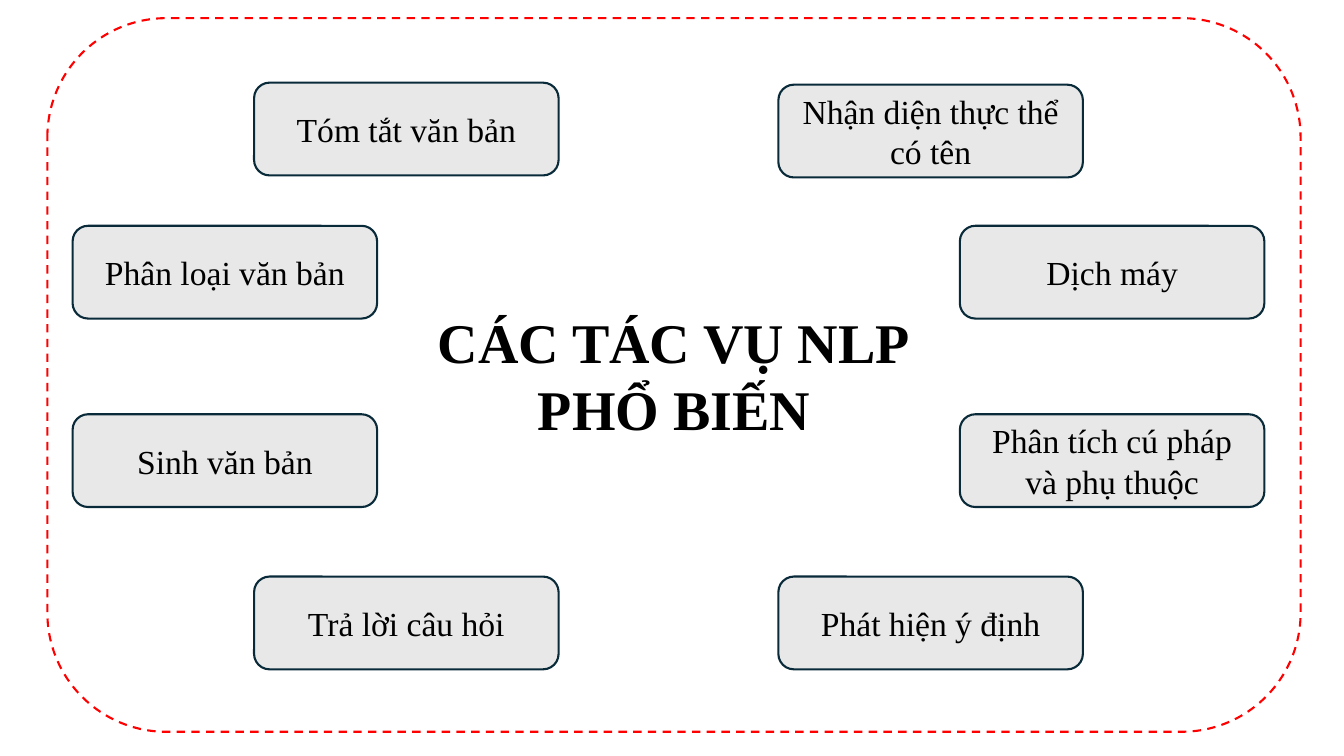
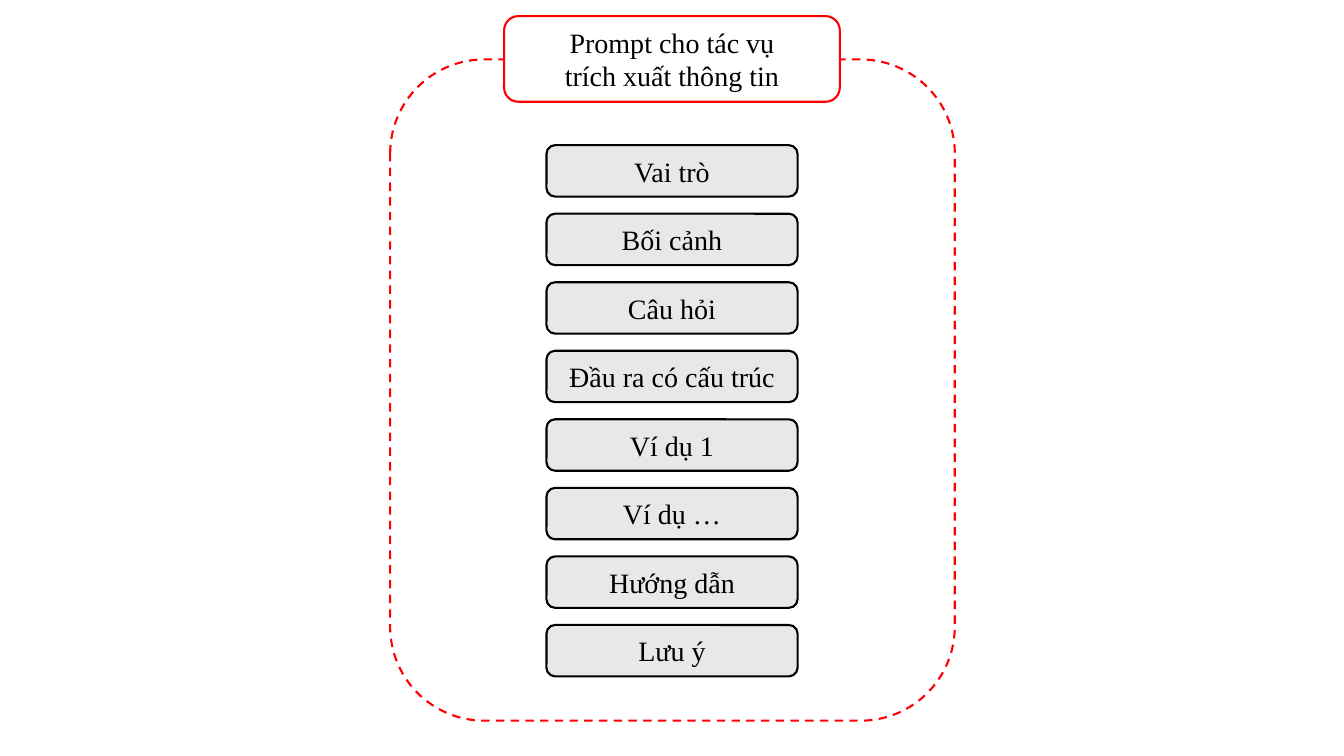
"""Build two slides on common NLP tasks and the parts of an extraction prompt."""
from pptx import Presentation
from pptx import util as u
from pptx.dml.color import RGBColor
from pptx.enum import dml, shapes, text

PX = 9144
FONT = "Times New Roman"
BLACK, WHITE, GREY, NAVY, RED = "000000", "FFFFFF", "E8E8E8", "092A39", "FF0000"

HEAD = "CÁC TÁC VỤ NLP\nPHỔ BIẾN"
TASKS = [
    ("Tóm tắt văn bản", 252, 82),
    ("Phân loại văn bản", 72, 224),
    ("Sinh văn bản", 72, 411),
    ("Trả lời câu hỏi", 252, 572),
    ("Nhận diện thực thể\ncó tên", 772, 84),
    ("Dịch máy", 952, 224),
    ("Phân tích cú pháp và phụ thuộc", 952, 411),
    ("Phát hiện ý định", 772, 572),
]
TASK_W, TASK_H = 302, 92
FIELD = (47, 18, 1243, 708)

LABEL = "Prompt cho tác vụ\ntrích xuất thông tin"
PARTS = ["Vai trò", "Bối cảnh", "Câu hỏi", "Đầu ra có cấu trúc",
         "Ví dụ 1", "Ví dụ …", "Hướng dẫn", "Lưu ý"]
PART_X, PART_Y, PART_W, PART_H, GAP = 542, 144, 249, 51, 17
PANEL = (387, 59, 560, 656)
TAB = (500, 16, 333, 85)


def rgb(code):
    return RGBColor.from_string(code)


def emu(area):
    return [n * PX for n in area]


def write(shape, words, size, bold=False):
    frame = shape.text_frame
    frame.text = words
    frame.word_wrap = True
    frame.auto_size = text.MSO_AUTO_SIZE.NONE
    frame.vertical_anchor = text.MSO_ANCHOR.MIDDLE
    for para in frame.paragraphs:
        para.alignment = text.PP_ALIGN.CENTER
        font = para.font
        font.name, font.size, font.bold = FONT, u.Pt(size), bold
        font.color.rgb = rgb(BLACK)


def box(slide, area, line, fill=None):
    shape = slide.shapes.add_shape(shapes.MSO_SHAPE.ROUNDED_RECTANGLE, *emu(area))
    shape.shadow.inherit = False
    if fill:
        shape.fill.solid()
        shape.fill.fore_color.rgb = rgb(fill)
    else:
        shape.fill.background()
        shape.line.dash_style = dml.MSO_LINE.DASH
    shape.line.color.rgb = rgb(line)
    shape.line.width = u.Pt(1.5)
    return shape


def title(slide, area, words, size, bold=False):
    head = slide.shapes.title
    head.left, head.top, head.width, head.height = emu(area)
    write(head, words, size, bold)
    slide.shapes._spTree.append(head._element)


def new(deck, area):
    slide = deck.slides.add_slide(deck.slide_layouts[5])
    box(slide, area, RED)
    return slide


def main():
    deck = Presentation()
    deck.slide_width, deck.slide_height = emu((1333, 750))

    slide = new(deck, FIELD)
    for words, x, y in TASKS:
        write(box(slide, (x, y, TASK_W, TASK_H), NAVY, GREY), words, 24)
    title(slide, FIELD, HEAD, 40, True)

    slide = new(deck, PANEL)
    for i, words in enumerate(PARTS):
        area = (PART_X, PART_Y + i * (PART_H + GAP), PART_W, PART_H)
        write(box(slide, area, BLACK, GREY), words, 20)
    box(slide, TAB, RED, WHITE)
    title(slide, TAB, LABEL, 20)

    deck.save("out.pptx")


if __name__ == "__main__":
    main()
